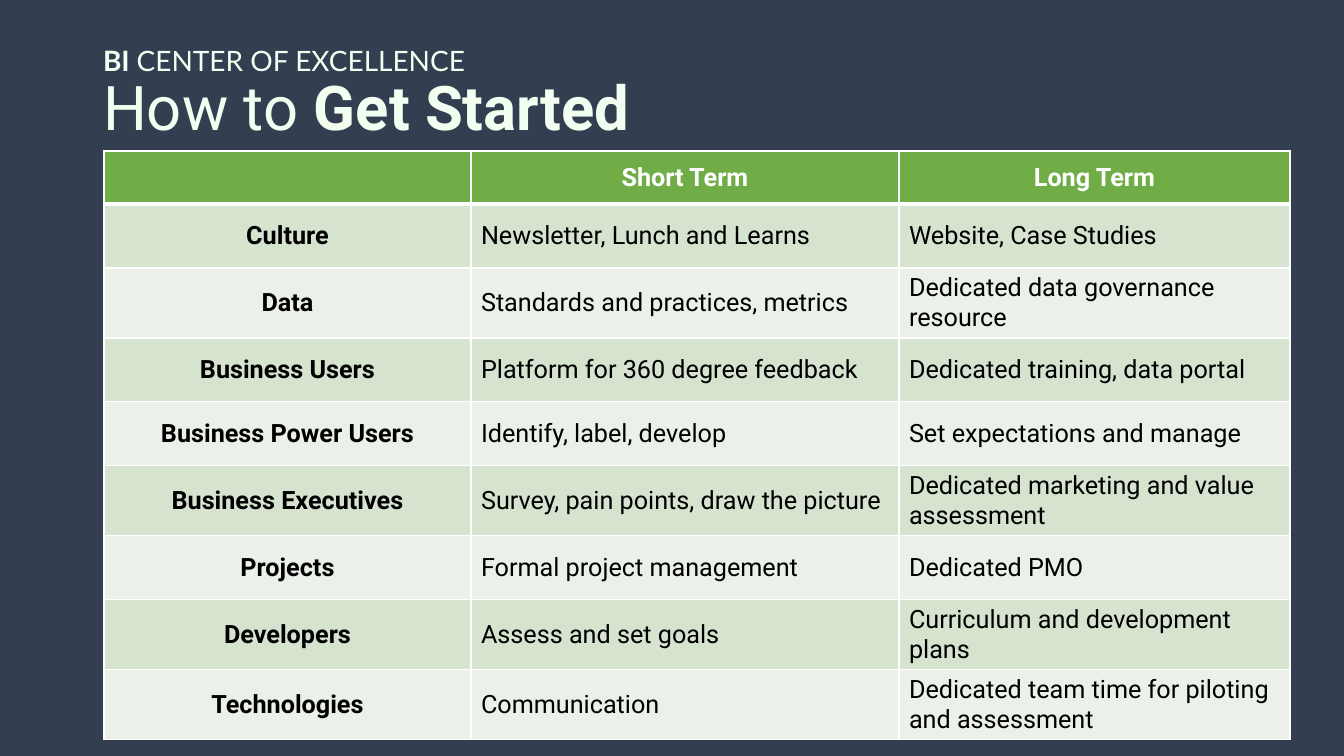
from dataclasses import dataclass

from lxml import etree
from pptx import Presentation
from pptx.dml.color import RGBColor
from pptx.enum import text
from pptx.oxml.ns import qn
from pptx.util import Pt

TITLE = [
    [("BI ", True), ("CENTER OF EXCELLENCE", False)],
    [("How to ", False), ("Get Started", True)],
]
HEADER = ("", "Short Term", "Long Term")
ROWS = [
    ("Culture", "Newsletter, Lunch and Learns", "Website, Case Studies"),
    ("Data", "Standards and practices, metrics", "Dedicated data governance resource"),
    ("Business Users", "Platform for 360 degree feedback", "Dedicated training, data portal"),
    ("Business Power Users", "Identify, label, develop", "Set expectations and manage"),
    ("Business Executives", "Survey, pain points, draw the picture",
     "Dedicated marketing and value assessment"),
    ("Projects", "Formal project management", "Dedicated PMO"),
    ("Developers", "Assess and set goals", "Curriculum and development plans"),
    ("Technologies", "Communication", "Dedicated team time for piloting and assessment"),
]


@dataclass(frozen=True)
class Theme:
    background: str = "333F50"
    title: str = "F3FFF1"
    header: str = "70AD47"
    bands: tuple = ("D5E3CF", "EBF1E9")
    white: str = "FFFFFF"
    black: str = "000000"
    title_fonts: tuple = (("Lato", 20), ("Roboto", 44))
    table_font: str = "Roboto"
    table_size: int = 18


THEME = Theme()
SLIDE_W, SLIDE_H = 1344, 756
TITLE_BOX = (93, 40, 1159, 111)
TABLE_LEFT, TABLE_TOP = 104, 151
COL_WIDTHS = (367, 428, 391)
HEADER_H, ONE_LINE_H, TWO_LINE_H = 53, 64, 70
WRAP_AT = 31  # characters that fit on one line of the last column


def px(n):
    return round(n * 914400 / 100.8)


def rgb(value):
    return RGBColor.from_string(value)


def add_title(s):
    shape = s.shapes.title
    shape.left, shape.top, shape.width, shape.height = map(px, TITLE_BOX)
    tf = shape.text_frame
    tf.word_wrap = True
    tf.auto_size = text.MSO_AUTO_SIZE.NONE
    tf.vertical_anchor = text.MSO_ANCHOR.MIDDLE
    p = tf.paragraphs[0]
    p.alignment = text.PP_ALIGN.LEFT
    p.line_spacing = 0.9
    for i, (line, (name, size)) in enumerate(zip(TITLE, THEME.title_fonts)):
        if i:
            p.add_line_break()
            # The break keeps the size of the line it ends
            etree.SubElement(p._p[-1], qn("a:rPr"), sz=str(THEME.title_fonts[i - 1][1] * 100))
        for words, bold in line:
            r = p.add_run()
            r.text = words
            r.font.name, r.font.size, r.font.bold = name, Pt(size), bold
            r.font.color.rgb = rgb(THEME.title)


def set_borders(cell, top, bottom):
    """Draw white cell edges; top and bottom are widths in points."""
    tcPr = cell._tc.get_or_add_tcPr()
    for i, (side, width) in enumerate(zip("LRTB", (1, 1, top, bottom))):
        ln = etree.Element(qn(f"a:ln{side}"), w=str(Pt(width)))
        fill = etree.SubElement(ln, qn("a:solidFill"))
        etree.SubElement(fill, qn("a:srgbClr"), val=THEME.white)
        tcPr.insert(i, ln)


def fill_cell(cell, words, row, col):
    is_header = row == 0
    cell.fill.solid()
    cell.fill.fore_color.rgb = rgb(THEME.header if is_header else THEME.bands[(row - 1) % 2])
    set_borders(cell, top=3 if row == 1 else 1, bottom=3 if is_header else 1)
    cell.vertical_anchor = text.MSO_ANCHOR.MIDDLE
    cell.text = words
    p = cell.text_frame.paragraphs[0]
    is_label = is_header or col == 0
    p.alignment = text.PP_ALIGN.CENTER if is_label else text.PP_ALIGN.LEFT
    p.font.name, p.font.size = THEME.table_font, Pt(THEME.table_size)
    p.font.bold = is_label
    p.font.color.rgb = rgb(THEME.white if is_header else THEME.black)


def add_plan_table(s):
    heights = [HEADER_H] + [TWO_LINE_H if len(row[-1]) > WRAP_AT else ONE_LINE_H for row in ROWS]
    box = (TABLE_LEFT, TABLE_TOP, sum(COL_WIDTHS), sum(heights))
    table = s.shapes.add_table(len(heights), len(COL_WIDTHS), *map(px, box)).table
    for column, width in zip(table.columns, COL_WIDTHS):
        column.width = px(width)
    for i, (values, height) in enumerate(zip([HEADER] + ROWS, heights)):
        table.rows[i].height = px(height)
        for j, words in enumerate(values):
            fill_cell(table.cell(i, j), words, i, j)


def main():
    prs = Presentation()
    prs.slide_width, prs.slide_height = px(SLIDE_W), px(SLIDE_H)
    s = prs.slides.add_slide(prs.slide_layouts[5])
    s.background.fill.solid()
    s.background.fill.fore_color.rgb = rgb(THEME.background)
    add_title(s)
    add_plan_table(s)
    prs.save("out.pptx")


if __name__ == "__main__":
    main()
